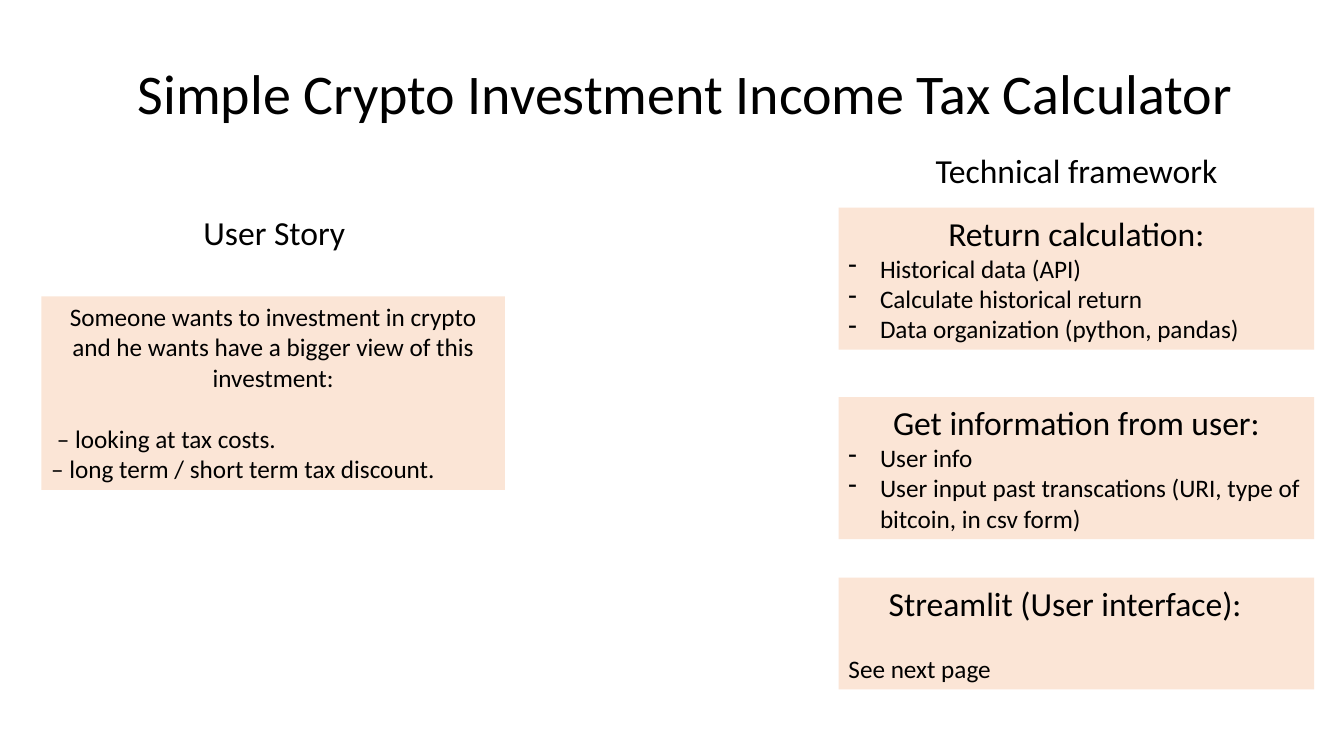
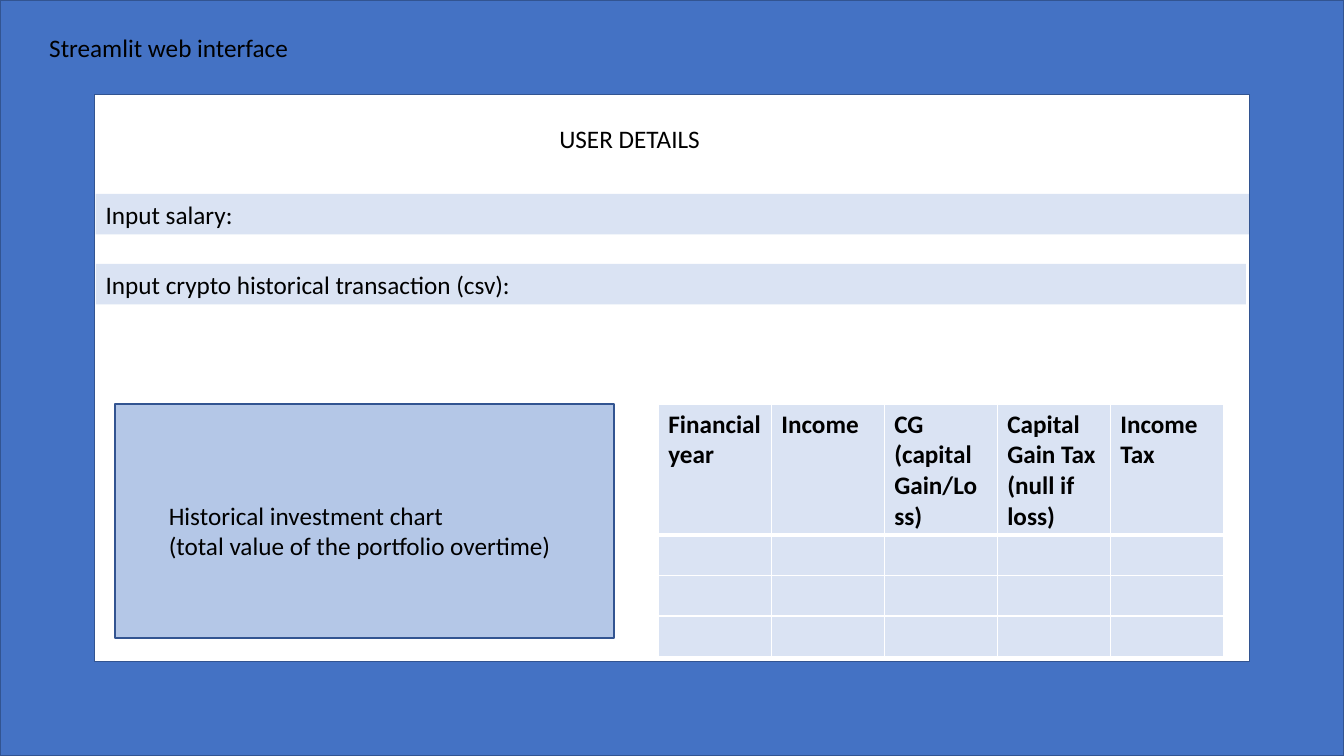
from dataclasses import dataclass

import pptx
import pptx.dml.color
import pptx.enum.shapes
import pptx.enum.text
import pptx.oxml.ns
import pptx.util
from lxml import etree

Pt = pptx.util.Pt
Shape = pptx.enum.shapes.MSO_SHAPE
Align = pptx.enum.text.PP_ALIGN


@dataclass(frozen=True)
class Theme:
    font: str = "Calibri"
    ink: str = "000000"
    peach: str = "FBE5D6"
    frame: str = "4472C4"
    edge: str = "325491"
    pale: str = "DAE3F3"
    chart: str = "B4C7E7"
    rule: str = "FFFFFF"
    title: int = 40
    head: int = 24
    body: int = 18


@dataclass(frozen=True)
class Line:
    text: str
    size: int = Theme.body
    center: bool = False
    bold: bool = False
    dash: bool = False
    gap: float = 0
    left: float = 0
    right: float = 0


THEME = Theme()


def color(code):
    return pptx.dml.color.RGBColor.from_string(code)


def paint(fill, code):
    fill.solid()
    fill.fore_color.rgb = color(code)


def head(text, **more):
    return Line(text, THEME.head, center=True, **more)


def dashes(*texts):
    return [Line(text, dash=True) for text in texts]


def write(frame, lines):
    for i, line in enumerate(lines):
        para = frame.add_paragraph() if i else frame.paragraphs[0]
        para.text = line.text
        para.alignment = Align.CENTER if line.center else Align.LEFT
        if line.gap:
            para.space_before = Pt(line.gap)
        props = para._p.get_or_add_pPr()
        if line.left:
            props.set("marL", str(Pt(line.left)))
        if line.right:
            props.set("marR", str(Pt(line.right)))
        if line.dash:
            props.set("marL", str(Pt(22.5)))
            props.set("indent", str(-Pt(22.5)))
            mark = etree.SubElement(props, pptx.oxml.ns.qn("a:buChar"))
            mark.set("char", "-")
        para.font.name = THEME.font
        para.font.size = Pt(line.size)
        para.font.bold = line.bold
        para.font.color.rgb = color(THEME.ink)


def label(slide, at, lines, fill=None, wrap=True):
    box = slide.shapes.add_textbox(*map(Pt, at))
    if fill:
        paint(box.fill, fill)
    frame = box.text_frame
    frame.word_wrap = wrap
    frame.auto_size = pptx.enum.text.MSO_AUTO_SIZE.SHAPE_TO_FIT_TEXT
    write(frame, lines)


def block(slide, kind, at, fill):
    shape = slide.shapes.add_shape(kind, *map(Pt, at))
    shape.shadow.inherit = False
    paint(shape.fill, fill)
    shape.line.color.rgb = color(THEME.edge)
    shape.line.width = Pt(1)


def border(cell, widths):
    props = cell._tc.get_or_add_tcPr()
    for side, width in zip("LRTB", widths):
        edge = etree.SubElement(props, pptx.oxml.ns.qn("a:ln" + side))
        edge.set("w", str(Pt(width)))
        fill = etree.SubElement(edge, pptx.oxml.ns.qn("a:solidFill"))
        etree.SubElement(fill, pptx.oxml.ns.qn("a:srgbClr")).set("val", THEME.rule)


def grid(slide, at, names, heights):
    count = len(names)
    table = slide.shapes.add_table(len(heights), count, *map(Pt, at)).table
    for col in table.columns:
        col.width = Pt(at[2] / count)
    for r, height in enumerate(heights):
        table.rows[r].height = Pt(height)
        for c, name in enumerate(names):
            cell = table.cell(r, c)
            border(cell, (1, 1, 3 if r == 1 else 1, 1 if r else 3))
            paint(cell.fill, THEME.pale)
            write(cell.text_frame, [Line("" if r else name, bold=not r)])


def plan(slide):
    label(slide, (47.5, 38.2, 883.4, 55.4),
          [Line("Simple Crypto Investment Income Tax Calculator", THEME.title, True)])
    label(slide, (138.2, 147.6, 116.6, 36), [Line("User Story", THEME.head)], wrap=False)
    label(slide, (29.5, 211.7, 331.2, 138.2), [
        Line("Someone wants to investment in crypto and he wants have "
             "a bigger view of this investment:", center=True),
        Line("– looking at tax costs.", gap=22, left=4),
        Line("– long term / short term tax discount."),
    ], THEME.peach)

    left, width = 599, 339.8
    label(slide, (left, 103.7, width, 36), [head("Technical framework")])
    steps = [
        (148.3, 101.5, [head("Return calculation:")] + dashes(
            "Historical data (API)",
            "Calculate historical return",
            "Data organization (python, pandas)")),
        (283.7, 101.5, [head("Get information from user:")] + dashes(
            "User info",
            "User input past transcations (URI, type of bitcoin, in csv form)")),
        (412.6, 79.9, [head("Streamlit (User interface):", right=16),
                       Line("See next page", gap=22)]),
    ]
    for top, height, lines in steps:
        label(slide, (left, top, width, height), lines, THEME.peach)


def screen(slide):
    block(slide, Shape.FRAME, (0, 0, 960, 540), THEME.frame)
    label(slide, (28.1, 19.4, 520.6, 29), [Line("Streamlit web interface")])
    label(slide, (392.4, 84.2, 115.9, 29), [Line("USER DETAILS")], wrap=False)
    fields = [(138.5, 823.7, "Input salary:"),
              (188.5, 821.5, "Input crypto historical transaction (csv):")]
    for top, width, text in fields:
        label(slide, (68.4, top, width, 29), [Line(text)], THEME.pale)
    block(slide, Shape.RECTANGLE, (82.1, 288.7, 356.4, 167), THEME.chart)
    label(slide, (113.5, 353.5, 336.2, 51), [
        Line("Historical investment chart"),
        Line("(total value of the portfolio overtime)"),
    ])
    names = ["Financial year", "Income", "CG (capital Gain/Loss)",
             "Capital Gain Tax (null if loss)", "Income Tax"]
    grid(slide, (470.2, 288.7, 403.6, 180), names, [93.6] + [28.8] * 3)


def main():
    deck = pptx.Presentation()
    deck.slide_width, deck.slide_height = Pt(960), Pt(540)
    for build in (plan, screen):
        build(deck.slides.add_slide(deck.slide_layouts[6]))
    deck.save("out.pptx")


main()
